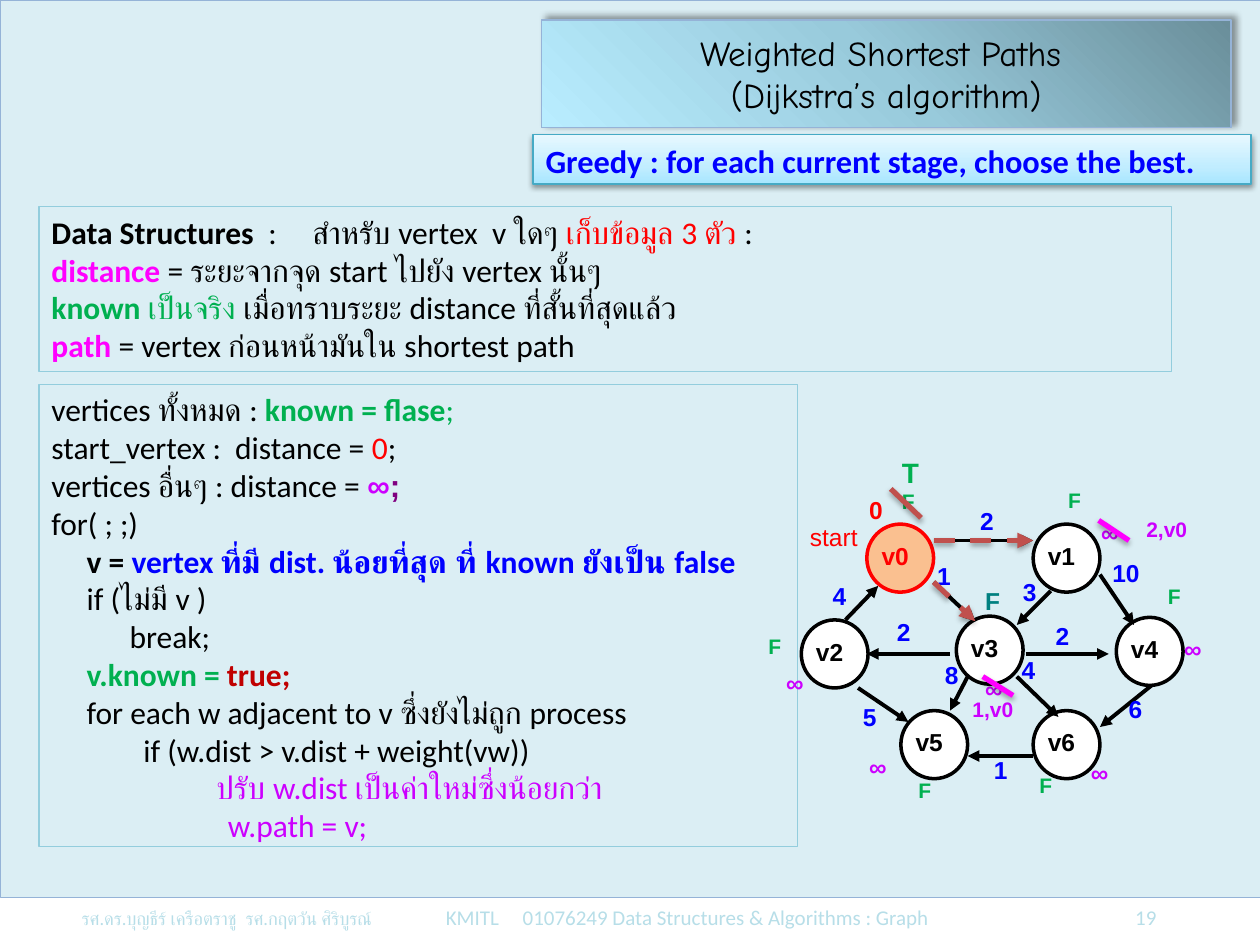
from lxml.etree import SubElement
from pptx import Presentation
from pptx.dml.color import RGBColor
from pptx.enum.dml import MSO_LINE
from pptx.enum.shapes import MSO_CONNECTOR, MSO_SHAPE
from pptx.enum.text import MSO_ANCHOR, PP_ALIGN
from pptx.oxml.ns import qn
from pptx.util import Inches, Pt

BLACK, BLUE, RED, GREEN = "000000", "0000FF", "FF0000", "00B050"
PURPLE, PINK, BRICK = "CC00FF", "FF00FF", "C0504D"


def color(hex_string):
    return RGBColor.from_string(hex_string)


def inches(*lengths):
    return [Inches(length) for length in lengths]


def add_effects(shape, shadow=None):
    effects = SubElement(shape._element.spPr, qn("a:effectLst"))
    if shadow:
        alpha, blur, distance, angle = shadow
        outer = SubElement(effects, qn("a:outerShdw"), blurRad=str(Pt(blur)),
                           dist=str(Pt(distance)), dir=str(angle * 60000), rotWithShape="0")
        shade = SubElement(outer, qn("a:srgbClr"), val=BLACK)
        SubElement(shade, qn("a:alpha"), val=str(alpha * 1000))


def style_outline(shape, hex_string, width):
    shape.line.color.rgb = color(hex_string)
    shape.line.width = Pt(width)


def fill_gradient(shape, stops, angle):
    shape.fill.gradient()
    shape.fill.gradient_angle = 360 - angle
    stop_list = shape._element.spPr.find(".//" + qn("a:gsLst"))
    for old_stop in list(stop_list):
        stop_list.remove(old_stop)
    for position, hex_string in stops:
        stop = SubElement(stop_list, qn("a:gs"), pos=str(position * 1000))
        SubElement(stop, qn("a:srgbClr"), val=hex_string)


def format_run(run, size, hex_string, bold=False, font="Calibri"):
    run.font.size = Pt(size)
    run.font.name = font
    run.font.bold = bold
    run.font.color.rgb = color(hex_string)


def add_tabs(paragraph, stops):
    tabs = SubElement(paragraph._p.get_or_add_pPr(), qn("a:tabLst"))
    for position, alignment in stops:
        SubElement(tabs, qn("a:tab"), pos=str(Inches(position)), algn=alignment)


def place(shape, box):
    shape.left, shape.top, shape.width, shape.height = inches(*box)


def build_backdrop(slide, box):
    backdrop = slide.shapes.add_shape(MSO_SHAPE.RECTANGLE, *inches(*box))
    backdrop.fill.solid()
    backdrop.fill.fore_color.rgb = color("DBEEF4")
    style_outline(backdrop, "95B3D7", 0.25)
    add_effects(backdrop)
    slide.shapes._spTree.insert(2, backdrop._element)


def build_footer(slide, box):
    footer = slide.shapes.add_textbox(*inches(*box))
    paragraph = footer.text_frame.paragraphs[0]
    add_tabs(paragraph, [(2.89, "l"), (3.5, "l"), (8.53, "r")])
    for text, size in [
        ("รศ.ดร.บุญธีร์ เครือตราชู  รศ.กฤตวัน ศิริบูรณ์", 10.5),
        ("\tKMITL\t01076249 Data Structures & Algorithms : Graph\t19", 12),
    ]:
        run = paragraph.add_run()
        run.text = text
        format_run(run, size, "B7DEE8")


def build_title(slide, box):
    title = slide.shapes.title
    place(title, box)
    fill_gradient(title, [(0, "6A8E9A"), (50, "98CADB"), (100, "B9EDFF")], 135)
    style_outline(title, "95B3D7", 0.75)
    add_effects(title, (40, 4, 3, 315))
    title.text_frame.text = "Weighted Shortest Paths \v(Dijkstra’s algorithm)"
    title.text_frame.vertical_anchor = MSO_ANCHOR.MIDDLE
    paragraph = title.text_frame.paragraphs[0]
    paragraph.alignment = PP_ALIGN.CENTER
    for run in paragraph.runs:
        format_run(run, 20, BLACK, font="Comic Neue")


def build_motto(slide, box):
    motto = slide.placeholders[1]
    place(motto, box)
    fill_gradient(motto, [(0, "A7E6FF"), (35, "C1EDFF"), (100, "E7F8FF")], 270)
    style_outline(motto, "46AAC5", 0.75)
    add_effects(motto, (38, 3.1, 1.6, 90))
    motto.text_frame.text = "Greedy : for each current stage, choose the best."
    paragraph = motto.text_frame.paragraphs[0]
    properties = paragraph._p.get_or_add_pPr()
    properties.set("marL", "0")
    properties.set("indent", "0")
    SubElement(properties, qn("a:buNone"))
    format_run(paragraph.runs[0], 18.5, BLUE, bold=True)


def build_panel(slide, box, lines):
    panel = slide.shapes.add_shape(MSO_SHAPE.RECTANGLE, *inches(*box))
    panel.fill.background()
    style_outline(panel, "93CDDD", 0.75)
    add_effects(panel)
    frame = panel.text_frame
    frame.word_wrap = True
    frame.vertical_anchor = MSO_ANCHOR.TOP
    for number, (indent, pieces) in enumerate(lines):
        paragraph = frame.add_paragraph() if number else frame.paragraphs[0]
        paragraph.alignment = PP_ALIGN.LEFT
        paragraph._p.get_or_add_pPr().set("marL", str(Inches(indent)))
        for text, *look in pieces:
            if "\t" in text:
                add_tabs(paragraph, [(2.07, "l")])
            run = paragraph.add_run()
            run.text = text
            format_run(run, 18, *look)


def build_graph(slide, left, top):
    def add_line(x1, y1, x2, y2, hex_string=BLACK, width=2.25, arrow=True, dashed=False):
        line = slide.shapes.add_connector(
            MSO_CONNECTOR.STRAIGHT, *inches(left + x1, top + y1, left + x2, top + y2))
        style_outline(line, hex_string, width)
        if dashed:
            line.line.dash_style = MSO_LINE.DASH
        if arrow:
            SubElement(line.line._get_or_add_ln(), qn("a:tailEnd"), type="triangle")
        add_effects(line, None if hex_string == BLACK else (35, 3.1, 1.8, 90))

    def add_label(text, x, y, hex_string, size=14, bold=True):
        label = slide.shapes.add_textbox(*inches(left + x, top + y, 0.7, 0.3))
        label.text_frame.text = text
        format_run(label.text_frame.paragraphs[0].runs[0], size, hex_string, bold, "Arial")

    def add_vertex(name, x, y):
        vertex = slide.shapes.add_shape(
            MSO_SHAPE.OVAL, *inches(left + x, top + y, 0.53, 0.54))
        ink, paper = (RED, "FAC090") if name == "v0" else (BLACK, "FFFFFF")
        vertex.fill.solid()
        vertex.fill.fore_color.rgb = color(paper)
        style_outline(vertex, ink, 2)
        add_effects(vertex)
        frame = vertex.text_frame
        frame.text = name
        frame.word_wrap = False
        frame.margin_left, frame.margin_right = inches(0, 0.08)
        frame.margin_top, frame.margin_bottom = inches(0, 0.04)
        frame.paragraphs[0].alignment = PP_ALIGN.CENTER
        format_run(frame.paragraphs[0].runs[0], 14, ink, True, "Arial")

    for vertex in [("v0", 0.88, 0.66), ("v1", 2.2, 0.66), ("v2", 0.36, 1.42),
                   ("v3", 1.59, 1.39), ("v4", 2.86, 1.4), ("v5", 1.15, 2.14),
                   ("v6", 2.2, 2.14)]:
        add_vertex(*vertex)

    start_edges = [(1.41, 1.12, 1.74, 1.43), (1.41, 0.79, 2.2, 0.79)]
    for edge in start_edges + [
        (1.54, 1.69, 0.88, 1.69), (3.14, 1.94, 2.73, 2.27), (1.68, 1.87, 1.54, 2.14),
        (2.2, 2.5, 1.68, 2.5), (0.81, 1.96, 1.21, 2.23), (2.73, 1.06, 3, 1.46),
        (2.34, 1.19, 2.07, 1.46), (0.71, 1.42, 0.97, 1.15), (2.14, 1.69, 2.8, 1.69),
        (2.07, 1.87, 2.4, 2.19),
    ]:
        add_line(*edge)

    for weight in [("5", 0.75, 2.02), ("1", 1.79, 2.44), ("2", 1.02, 1.35), ("4", 2.01, 1.65),
                   ("6", 2.86, 1.96), ("2", 2.28, 1.38), ("8", 1.4, 1.69), ("10", 2.73, 0.88),
                   ("1", 1.34, 0.9), ("3", 2.02, 1.03), ("2", 1.68, 0.47), ("4", 0.51, 1.06)]:
        add_label(*weight, BLUE)
    for x, y in [(1.06, 0.33), (2.38, 0.32), (3.17, 1.08), (2.15, 2.58), (1.19, 2.62),
                 (0, 1.48)]:
        add_label("F", x, y, GREEN, 12)
    for x, y in [(3.3, 1.48), (2.64, 0.56), (2.56, 2.47), (0.8, 2.42), (0.14, 1.75),
                 (1.72, 1.8)]:
        add_label("∞", x, y, PURPLE)
    add_label("start", 0.33, 0.59, RED, bold=False)
    add_label("F", 1.72, 1.1, "008080")
    add_label("T", 1.06, 0.07, GREEN, 16)
    add_label("0", 0.8, 0.38, RED)
    add_label("2,v0", 3, 0.55, PURPLE, 12)
    add_label("1,v0", 1.62, 1.98, PURPLE, 12)

    for edge in start_edges:
        add_line(*edge, BRICK, 3, dashed=True)
    for strike in [(1.07, 0.38, 1.31, 0.61, BRICK), (2.72, 0.63, 2.96, 0.79, PINK),
                   (1.8, 1.87, 2.04, 2.02, PINK)]:
        add_line(*strike, 3, arrow=False)


DEFINITIONS = [
    (0, [("Data Structures  ", BLACK, True), (":\tสำหรับ vertex  v ใดๆ ", BLACK),
         ("เก็บข้อมูล 3 ตัว ", RED), (":", BLACK)]),
    (0, [("distance ", PINK, True), ("= ระยะจากจุด start ไปยัง vertex นั้นๆ", BLACK)]),
    (0, [("known ", GREEN, True), ("เป็นจริง ", GREEN),
         ("เมื่อทราบระยะ distance ที่สั้นที่สุดแล้ว", BLACK)]),
    (0, [("path ", PINK, True), ("= vertex ก่อนหน้ามันใน shortest path", BLACK)]),
]
ALGORITHM = [
    (0, [("vertices ทั้งหมด : ", BLACK), ("known = flase", GREEN, True), (";", GREEN)]),
    (0, [("start_vertex :  distance = ", BLACK), ("0", RED), (";", BLACK)]),
    (0, [("vertices อื่นๆ : distance = ", BLACK), ("∞", PURPLE, True, "Arial"),
         (";", "800080", True, "Arial")]),
    (0, [("for( ; ;)", BLACK)]),
    (0.28, [("v = ", BLACK, True),
            ("vertex ที่มี dist. น้อยที่สุด ที่ known ยังเป็น false", BLUE, True)]),
    (0.28, [("if (ไม่มี v )", BLACK)]),
    (0.62, [("break;", BLACK)]),
    (0.28, [("v.known = ", GREEN, True), ("true;", "C00000", True)]),
    (0.28, [("for each w adjacent to v ซึ่งยังไม่ถูก process", BLACK)]),
    (0.73, [("if (w.dist > v.dist + weight(vw))", BLACK)]),
    (1.31, [("ปรับ w.dist เป็นค่าใหม่ซึ่งน้อยกว่า", PURPLE)]),
    (1.4, [("w.path = v;", PURPLE)]),
]


def main():
    deck = Presentation()
    deck.slide_width, deck.slide_height = inches(10, 7.5)
    slide = deck.slides.add_slide(deck.slide_layouts[1])
    build_backdrop(slide, (0, 0, 10, 7.12))
    build_footer(slide, (0.55, 7.13, 8.98, 0.37))
    build_title(slide, (4.3, 0.16, 5.47, 0.85))
    build_motto(slide, (4.23, 1.07, 5.7, 0.39))
    build_panel(slide, (0.31, 3.05, 6.02, 3.67), ALGORITHM)
    build_panel(slide, (0.31, 1.64, 8.99, 1.31), DEFINITIONS)
    build_graph(slide, 6, 3.5)
    deck.save("out.pptx")


if __name__ == "__main__":
    main()
